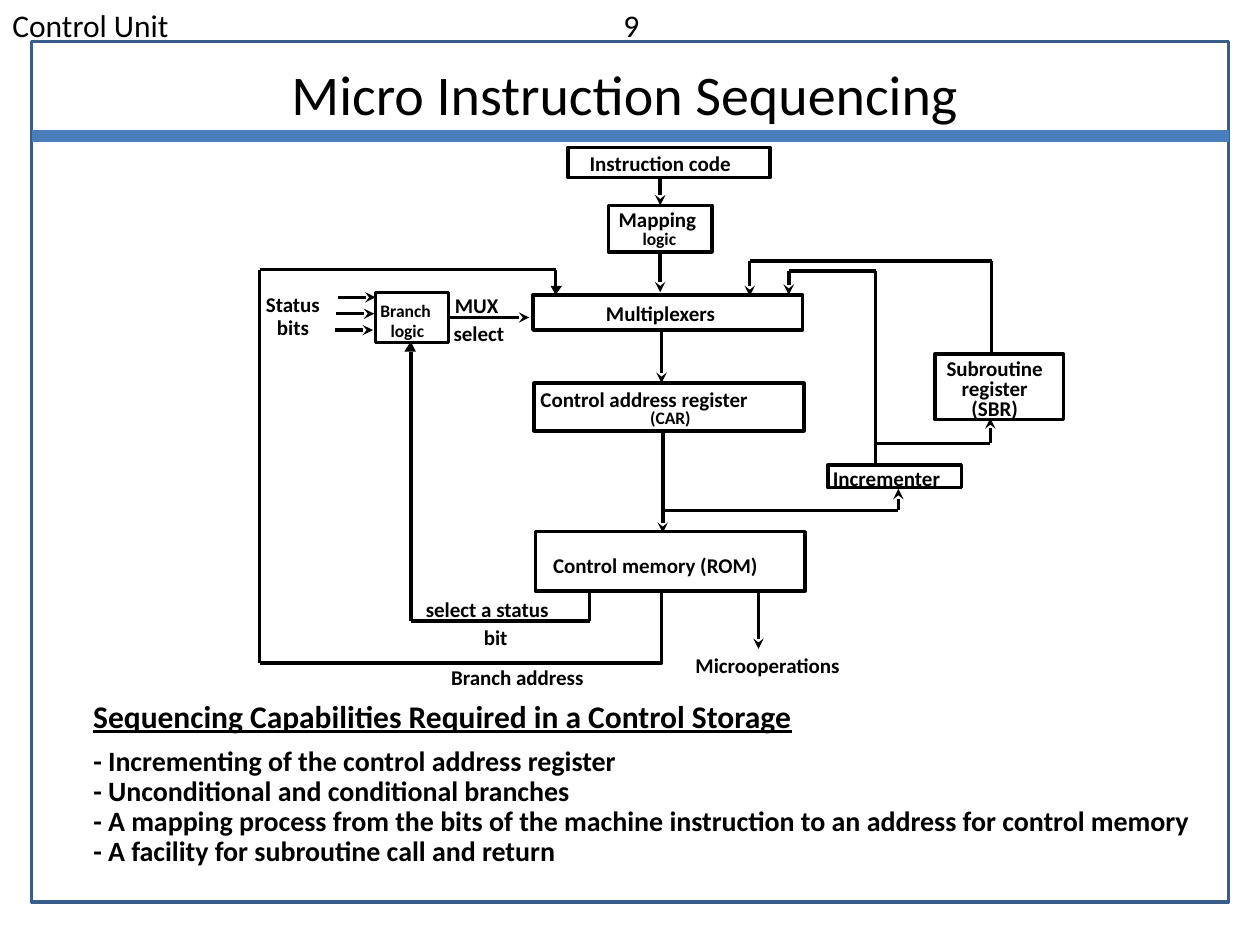
from itertools import pairwise

from lxml.etree import SubElement
from pptx import Presentation
from pptx.dml.color import RGBColor
from pptx.enum.shapes import MSO_CONNECTOR as Connector, MSO_SHAPE as Shape
from pptx.enum.text import MSO_AUTO_SIZE as AutoSize, PP_ALIGN as Align
from pptx.oxml.ns import qn
from pptx.util import Pt

PX = 9144
FONT = "Calibri"
COLORS = {"ink": "000000", "frame": "385D8A", "rule": "4A7EBB"}


def color(name):
    return RGBColor.from_string(COLORS[name])


def set_line(shape, name="ink", width=2):
    shape.line.color.rgb = color(name)
    shape.line.width = Pt(width)


def add_text(slide, box, lines, size, bold=False, underline=None, align=Align.LEFT,
             spacing=None, margins=(10, 5), tab=None):
    text_box = slide.shapes.add_textbox(*(value * PX for value in box))
    frame = text_box.text_frame
    frame.word_wrap = True
    frame.auto_size = AutoSize.SHAPE_TO_FIT_TEXT
    frame.margin_left = frame.margin_right = margins[0] * PX
    frame.margin_top = frame.margin_bottom = margins[1] * PX
    for index, line in enumerate(lines):
        paragraph = frame.add_paragraph() if index else frame.paragraphs[0]
        paragraph.text = line
        paragraph.alignment = align
        paragraph.line_spacing = spacing
        if tab:
            tabs = SubElement(paragraph._p.get_or_add_pPr(), qn("a:tabLst"))
            SubElement(tabs, qn("a:tab"), pos=str(tab * PX), algn="l")
        font = paragraph.font
        font.name, font.size, font.bold, font.underline = FONT, Pt(size), bold, underline
        font.color.rgb = color("ink")


def add_rectangle(slide, box, line="ink"):
    rectangle = slide.shapes.add_shape(Shape.RECTANGLE, *(value * PX for value in box))
    rectangle.shadow.inherit = False
    rectangle.fill.background()
    set_line(rectangle, line)
    return rectangle


def add_line(slide, start, end, arrow=False, line="ink", width=2):
    connector = slide.shapes.add_connector(
        Connector.STRAIGHT, *(value * PX for value in (*start, *end)))
    set_line(connector, line, width)
    if arrow:
        SubElement(connector.line._get_or_add_ln(), qn("a:tailEnd"), type="stealth")
    SubElement(connector._element.spPr, qn("a:effectLst"))
    return connector


def add_outline(slide, points, closed):
    builder = slide.shapes.build_freeform(*points[0], scale=PX)
    builder.add_line_segments(points[1:], close=closed)
    outline = builder.convert_to_shape()
    outline.shadow.inherit = False
    if closed:
        outline.fill.solid()
        outline.fill.fore_color.rgb = color("ink")
        outline.line.fill.background()
    else:
        outline.fill.background()
        set_line(outline)


def add_frame(slide, left, top, width, height):
    add_rectangle(slide, (left, top, width, height), "frame")
    add_line(slide, (left, top + 75), (left + width, top + 75), line="rule", width=6.75)
    add_text(slide, (left + 50, top + 9, width - 108, 64),
             ["Micro Instruction Sequencing"], 32, align=Align.CENTER)


def add_header(slide, left, top, width, height):
    add_text(slide, (left, top, width, height), ["Control Unit\t9"], 18, tab=485)


def add_diagram(slide, left, top):
    def at(x, y):
        return left + x, top + y

    blocks = {
        "instruction": (251, 7, 160, 24),
        "mapping": (283, 53, 82, 37),
        "multiplexers": (223, 124, 214, 28),
        "address register": (224, 194, 214, 38),
        "memory": (225, 312, 214, 47),
        "branch": (98, 122, 58, 40),
        "subroutine": (542, 171, 102, 52),
        "incrementer": (457, 259, 106, 18),
    }
    shapes = {name: add_rectangle(slide, (*at(x, y), width, height))
              for name, (x, y, width, height) in blocks.items()}

    labels = [
        (260, 8, 140, 26, "Instruction code", 12),
        (283, 52, 88, 26, "Mapping", 12),
        (302, 69, 53, 23, "logic", 10),
        (273, 127, 113, 26, "Multiplexers", 12),
        (221, 195, 194, 26, "Control address register", 12),
        (308, 211, 58, 23, "(CAR)", 10),
        (231, 327, 190, 26, "Control memory (ROM)", 12),
        (94, 126, 66, 23, "Branch", 10),
        (102, 142, 53, 23, "logic", 10),
        (453, 258, 112, 26, "Incrementer", 12),
        (153, 120, 61, 26, "MUX", 12),
        (152, 143, 66, 26, "select", 12),
        (130, 362, 126, 26, "select a status", 12),
        (176, 384, 45, 26, "bit", 12),
        (150, 416, 134, 26, "Branch address", 12),
        (344, 406, 143, 26, "Microoperations", 12),
    ]
    for x, y, width, height, text, size in labels:
        add_text(slide, (*at(x, y), width, height), [text], size, bold=True,
                 spacing=0.9, margins=(8, 4))
    stacked_labels = [
        (-2, 120, 69, 44, ["Status", "bits"], 0.9),
        (538, 172, 103, 56, ["Subroutine", "register", "(SBR)"], 0.8),
    ]
    for x, y, width, height, lines, spacing in stacked_labels:
        add_text(slide, (*at(x, y), width, height), lines, 12, bold=True,
                 align=Align.CENTER, spacing=spacing, margins=(8, 4))

    into_mapping = add_line(slide, at(324, 31), at(324, 53), arrow=True)
    into_mapping.end_connect(shapes["mapping"], 0)
    out_of_mapping = add_line(slide, at(324, 90), at(324, 122), arrow=True)
    out_of_mapping.begin_connect(shapes["mapping"], 2)
    mux_select = add_line(slide, at(156, 142), at(220, 142), arrow=True)
    mux_select.begin_connect(shapes["branch"], 3)
    for step in range(3):
        y = 126 + 13 * step
        add_line(slide, at(68 - step, y), at(98 - step, y), arrow=True)

    arrow_routes = [
        [(325, 152), (325, 194)],
        [(326, 232), (326, 313)],
        [(402, 358), (402, 405)],
        [(587, 172), (587, 97), (395, 97), (395, 125)],
        [(495, 259), (495, 105), (426, 105), (426, 124)],
        [(495, 242), (586, 242), (586, 222)],
        [(326, 295), (513, 295), (513, 278)],
    ]
    plain_routes = [
        [(268, 360), (268, 383), (126, 383), (126, 169)],
        [(6, 416), (6, 104), (241, 104), (241, 118)],
    ]
    for route in arrow_routes + plain_routes:
        for start, end in pairwise(route):
            arrow = route in arrow_routes and end == route[-1]
            add_line(slide, at(*start), at(*end), arrow)

    outlines = [
        ([(325, 361), (325, 416), (6, 416)], False),
        ([(237, 117), (246, 117), (241, 124)], True),
        ([(121, 169), (130, 169), (126, 161)], True),
    ]
    for points, closed in outlines:
        add_outline(slide, [at(*point) for point in points], closed)


def add_capabilities(slide, left, top, width):
    add_text(slide, (left, top, 600, 36),
             ["Sequencing Capabilities Required in a Control Storage"], 18, bold=True,
             underline=True, spacing=1.01, margins=(7, 3))
    capabilities = [
        "- Incrementing of the control address register",
        "- Unconditional and conditional branches",
        "- A mapping process from the bits of the machine instruction"
        " to an address for control memory",
        "- A facility for subroutine call and return",
    ]
    add_text(slide, (left, top + 40, width, 102), capabilities, 16, bold=True,
             spacing=0.9, margins=(7, 3))


def main():
    presentation = Presentation()
    presentation.slide_width, presentation.slide_height = 1000 * PX, 750 * PX
    slide = presentation.slides.add_slide(presentation.slide_layouts[6])
    add_frame(slide, 25, 33, 950, 683)
    add_header(slide, 0, 0, 1000, 41)
    add_diagram(slide, 200, 110)
    add_capabilities(slide, 67, 550, 908)
    presentation.save("out.pptx")


if __name__ == "__main__":
    main()
